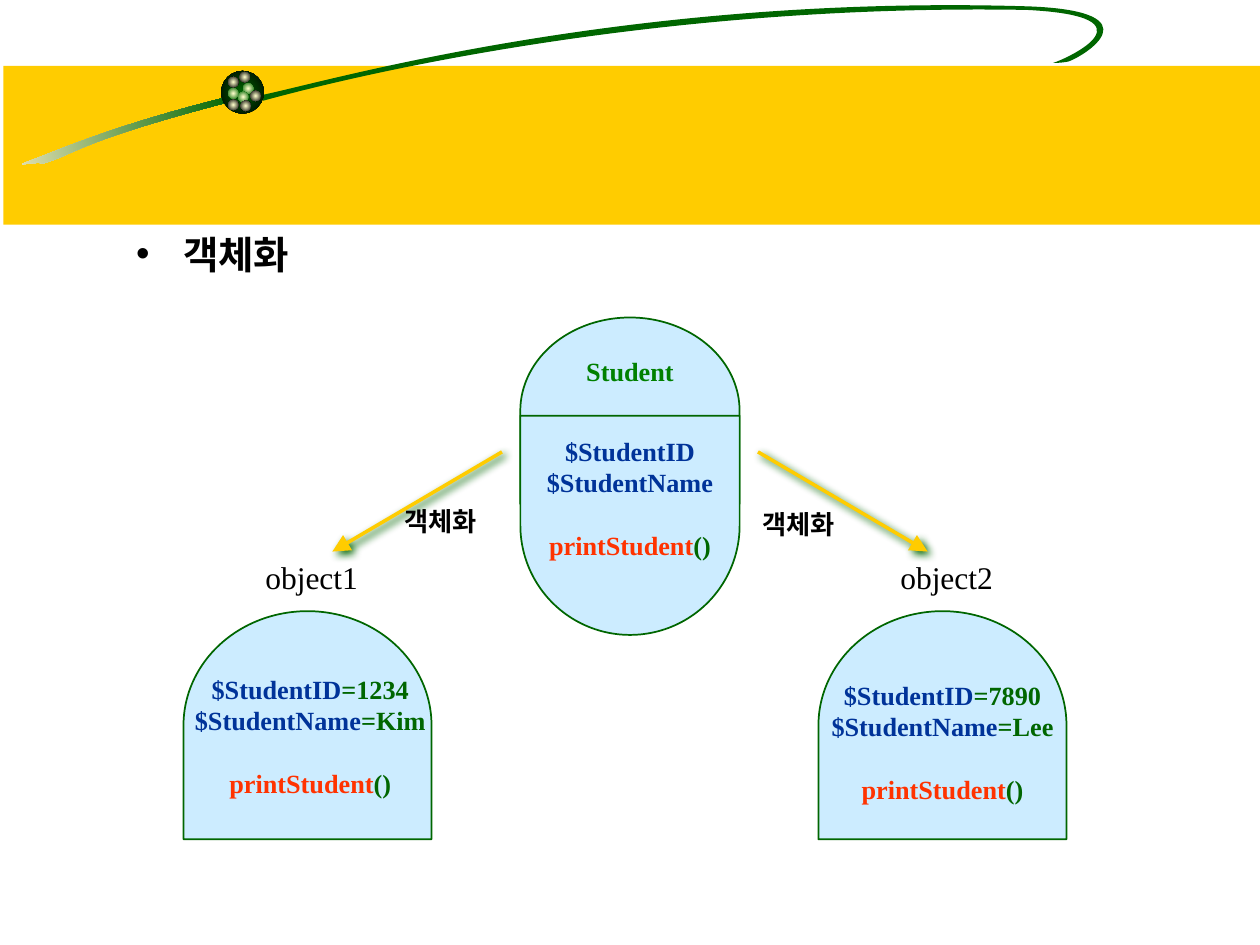
from math import cos, radians, sin
from typing import NamedTuple, Optional

from lxml import etree
from pptx import Presentation
from pptx.dml.color import RGBColor
from pptx.enum.shapes import MSO_CONNECTOR, MSO_SHAPE
from pptx.enum.text import MSO_ANCHOR, PP_ALIGN
from pptx.oxml import parse_xml
from pptx.oxml.ns import nsdecls, qn
from pptx.util import Cm, Pt

RECT, OVAL, DELAY = MSO_SHAPE.RECTANGLE, MSO_SHAPE.OVAL, MSO_SHAPE.FLOWCHART_DELAY
STRAIGHT = MSO_CONNECTOR.STRAIGHT
TOP, MIDDLE = MSO_ANCHOR.TOP, MSO_ANCHOR.MIDDLE
LEFT, CENTER = PP_ALIGN.LEFT, PP_ALIGN.CENTER

FONT = "Times New Roman"
YELLOW, GREEN, BLACK, CREAM = "FFCC00", "006600", "000000", "FFFFCC"
BLUE, RED, SKY, CLASS_GREEN = "003399", "FF3300", "CCECFF", "008000"
SLIDE_WIDTH = 25.4
OBJECT_PITCH = 12.8  # distance between the two objects
SWOOSH_TILT = 9  # degrees, counter-clockwise


class Box(NamedTuple):
    left: float
    top: float
    width: float
    height: float

    def lengths(self) -> list:
        return [Cm(value) for value in self]


class Run(NamedTuple):
    text: str
    color: str = BLACK
    size: float = 15
    bold: bool = True


class Line(NamedTuple):
    runs: list
    gap_before: float = 0


class Bead(NamedTuple):
    left: float
    top: float
    edge: str


class Instance(NamedTuple):
    name: str
    student_id: str
    student_name: str
    details: Box
    caption: Box


def rgb(color: str) -> RGBColor:
    return RGBColor.from_string(color)


def paint(shape, fill: str, line: Optional[str] = None) -> None:
    shape.shadow.inherit = False
    shape.fill.solid()
    shape.fill.fore_color.rgb = rgb(fill)
    if line:
        shape.line.color.rgb = rgb(line)
        shape.line.width = Pt(1)
    else:
        shape.line.fill.background()


def paint_gradient(shape, start: str, end: str, radial: bool = False) -> None:
    paint(shape, start)
    shape.fill.gradient()
    shape.fill.gradient_angle = 0
    for stop, color in zip(shape.fill.gradient_stops, (start, end)):
        stop.color.rgb = rgb(color)
    if radial:
        linear = shape.element.spPr.find(qn("a:gradFill")).find(qn("a:lin"))
        linear.getparent().replace(linear, parse_xml(
            f'<a:path {nsdecls("a")} path="circle">'
            '<a:fillToRect l="50000" t="50000" r="50000" b="50000"/></a:path>'))


def add_curve(shapes, box: Box, start: tuple, curves: list):
    """Tilted closed outline; each curve holds two handles and an end, as seen."""
    left, top, width, height = box.lengths()
    builder = shapes.build_freeform(left, top)
    builder.add_line_segments([(left + width, top + height)], close=False)
    shape = builder.convert_to_shape()
    shape.rotation = 360 - SWOOSH_TILT
    outline = next(shape.element.iter(qn("a:path")))
    for segment in list(outline):
        outline.remove(segment)
    turn = radians(SWOOSH_TILT)

    def add_segment(tag: str, values: tuple) -> None:
        segment = etree.SubElement(outline, qn(tag))
        for x, y in zip(values[::2], values[1::2]):
            dx, dy = x - box.left - box.width / 2, y - box.top - box.height / 2
            etree.SubElement(
                segment, qn("a:pt"),
                x=str(Cm(box.width / 2 + dx * cos(turn) - dy * sin(turn))),
                y=str(Cm(box.height / 2 + dx * sin(turn) + dy * cos(turn))))

    add_segment("a:moveTo", start)
    for curve in curves:
        add_segment("a:cubicBezTo", curve)
    etree.SubElement(outline, qn("a:close"))
    return shape


def add_dome(shapes, seen: Box, rotation: int) -> None:
    """Quarter-turned delay shape that fills the box as it is seen."""
    left = seen.left + (seen.width - seen.height) / 2
    top = seen.top + (seen.height - seen.width) / 2
    frame = Box(left, top, seen.height, seen.width)
    dome = shapes.add_shape(DELAY, *frame.lengths())
    dome.rotation = rotation
    paint(dome, SKY, GREEN)


def add_runs(paragraph, runs: list) -> None:
    for item in runs:
        run = paragraph.add_run()
        run.text = item.text
        run.font.name = FONT
        run.font.size = Pt(item.size)
        run.font.bold = item.bold
        run.font.color.rgb = rgb(item.color)


def add_text(shapes, box: Box, lines: list, align=CENTER, anchor=MIDDLE) -> None:
    frame = shapes.add_textbox(*box.lengths()).text_frame
    frame.word_wrap = True
    frame.vertical_anchor = anchor
    for index, line in enumerate(lines):
        paragraph = frame.add_paragraph() if index else frame.paragraphs[0]
        paragraph.alignment = align
        paragraph.space_before = Pt(line.gap_before)
        add_runs(paragraph, line.runs)


def add_arrow(shapes, x1: float, y1: float, x2: float, y2: float) -> None:
    arrow = shapes.add_connector(STRAIGHT, Cm(x1), Cm(y1), Cm(x2), Cm(y2))
    arrow.line.color.rgb = rgb(YELLOW)
    arrow.line.width = Pt(2)
    properties = arrow.element.spPr
    etree.SubElement(properties.find(qn("a:ln")), qn("a:tailEnd"),
                     type="triangle", w="lg", len="lg")
    properties.append(parse_xml(
        f'<a:effectLst {nsdecls("a")}><a:outerShdw blurRad="{Pt(5)}" dist="{Pt(2.8)}" '
        f'dir="2700000"><a:srgbClr val="{GREEN}"/></a:outerShdw></a:effectLst>'))


def member_lines(student_id: str = "", student_name: str = "") -> list:
    fields = (("$StudentID", student_id), ("$StudentName", student_name))
    lines = [Line([Run(field, BLUE)] + ([Run(f"={value}", GREEN)] if value else []))
             for field, value in fields]
    return lines + [Line([Run("printStudent", RED), Run("()", GREEN)], gap_before=18)]


def draw_banner(shapes) -> None:
    paint(shapes.add_shape(RECT, *Box(0.07, 1.33, 25.33, 3.2).lengths()), YELLOW)
    swoosh_tail = add_curve(shapes, Box(0, 2.31, 4.67, 0.76), (4.57, 1.96), [
        (2.36, 2.51, 1.32, 2.97, 0.71, 3.2),
        (0.08, 3.43, 0.74, 3.23, 0.86, 3.3),
        (1.5, 3.12, 1.52, 2.87, 4.6, 2.06)])
    paint_gradient(swoosh_tail, "F5EBC1", GREEN)
    swoosh = add_curve(shapes, Box(5.18, -0.38, 18.19, 2.77), (5.21, 1.93), [
        (6.32, 1.73, 12.42, -0.13, 20.75, 0.13),
        (23.34, 0.23, 21.84, 1.14, 21.54, 1.24),
        (21.54, 1.24, 21.41, 1.27, 21.23, 1.27),
        (21.54, 1.17, 23.34, 0.33, 20.7, 0.2),
        (14, 0.08, 8.2, 1.24, 5.31, 2.03)])
    paint(swoosh, GREEN)
    # Ball with its beads
    ball = shapes.add_shape(OVAL, *Box(4.46, 1.43, 0.86, 0.86).lengths())
    paint_gradient(ball, GREEN, BLACK, radial=True)
    beads = [Bead(4.9, 1.68, GREEN), Bead(4.6, 1.55, BLACK), Bead(4.6, 1.78, GREEN),
             Bead(4.8, 1.85, GREEN), Bead(5.05, 1.83, BLACK), Bead(4.85, 2.03, BLACK),
             Bead(4.6, 2.01, BLACK), Bead(4.83, 1.45, BLACK)]
    for bead in beads:
        dot = shapes.add_shape(OVAL, *Box(bead.left, bead.top, 0.21, 0.21).lengths())
        paint_gradient(dot, CREAM, bead.edge, radial=True)


def draw_heading(body) -> None:
    body.left, body.top, body.width, body.height = Box(2.49, 4.52, 21.59, 13.54).lengths()
    paragraph = body.text_frame.paragraphs[0]
    paragraph.space_before = Pt(0)
    add_runs(paragraph, [Run("객체화", size=22)])
    properties = paragraph._p.get_or_add_pPr()
    properties.set("marL", str(Cm(0.95)))
    properties.set("indent", str(-Cm(0.95)))
    bullet_color = etree.SubElement(properties, qn("a:buClr"))
    etree.SubElement(bullet_color, qn("a:srgbClr"), val=BLACK)
    etree.SubElement(properties, qn("a:buChar"), char="•")


def main() -> None:
    deck = Presentation()
    deck.slide_width, deck.slide_height = Cm(SLIDE_WIDTH), Cm(19.05)
    slide = deck.slides.add_slide(deck.slide_layouts[1])
    shapes = slide.shapes
    title = shapes.title.element
    title.getparent().remove(title)
    draw_banner(shapes)
    draw_heading(slide.placeholders[1])
    # Class
    add_dome(shapes, Box(10.49, 6.4, 4.42, 3.76), 270)
    add_text(shapes, Box(11.38, 6.81, 2.64, 1.32), [Line([Run("Student", CLASS_GREEN)])])
    add_dome(shapes, Box(10.49, 8.38, 4.42, 4.42), 90)
    add_text(shapes, Box(10.72, 8.06, 3.96, 3.96), member_lines())
    # Objects, each with its name, arrow and arrow caption
    instances = [
        Instance("object1", "1234", "Kim", Box(3.6, 12.87, 5.31, 3.94), Box(7.9, 10.06, 2.39, 0.89)),
        Instance("object2", "7890", "Lee", Box(16.5, 12.99, 5, 3.94), Box(15.12, 10.13, 2.39, 0.89))]
    for index, item in enumerate(instances):
        shift = index * OBJECT_PITCH
        add_dome(shapes, Box(3.7 + shift, 12.32, 5, 4.6), 270)
        add_text(shapes, item.details, member_lines(item.student_id, item.student_name))
        add_text(shapes, Box(5.1 + shift, 11.13, 2.39, 1.02),
                 [Line([Run(item.name, size=18, bold=False)])], LEFT, TOP)
        start, end = [SLIDE_WIDTH - x if index else x for x in (10.12, 6.7)]
        add_arrow(shapes, start, 9.11, end, 11.12)
        add_text(shapes, item.caption, [Line([Run("객체화")])], LEFT, TOP)
    deck.save("out.pptx")


if __name__ == "__main__":
    main()
